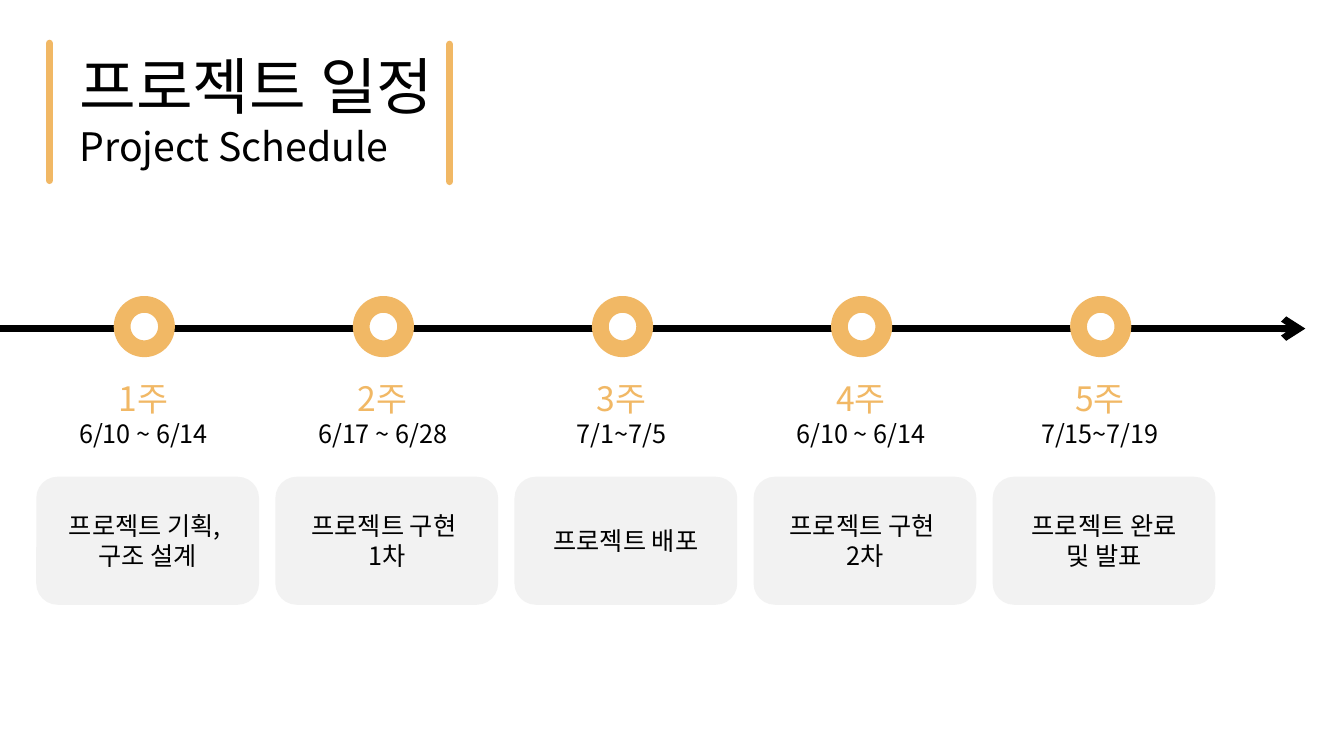
"""Build the five-week project schedule slide."""

from dataclasses import dataclass

from lxml.etree import SubElement
from pptx import Presentation
from pptx.dml.color import RGBColor
from pptx.enum.shapes import MSO_CONNECTOR as Connector
from pptx.enum.shapes import MSO_SHAPE as Preset
from pptx.enum.text import MSO_ANCHOR as Anchor
from pptx.enum.text import MSO_AUTO_SIZE as AutoSize
from pptx.enum.text import PP_ALIGN as Align
from pptx.oxml.ns import qn
from pptx.shapes.autoshape import Shape
from pptx.shapes.connector import Connector as Line
from pptx.slide import Slide
from pptx.text.text import TextFrame
from pptx.util import Inches, Pt

CELL = Inches(0.1)
COLUMNS, ROWS = 133.33, 75
COLUMN_STEP = 23.72
FONT = "Noto Sans CJK KR"
COLORS = {"accent": "F1B865", "ink": "000000", "card": "F2F2F2", "paper": "FFFFFF"}


@dataclass(frozen=True)
class Box:
    left: float
    top: float
    width: float
    height: float

    def shifted(self, columns: float) -> "Box":
        return Box(self.left + columns, self.top, self.width, self.height)

    def lengths(self) -> tuple[int, ...]:
        return tuple(map(grid, (self.left, self.top, self.width, self.height)))


@dataclass(frozen=True)
class Stroke:
    start: tuple[float, float]
    end: tuple[float, float]
    color: str
    points: float


@dataclass(frozen=True)
class TextStyle:
    size: float
    color: str = "ink"


@dataclass(frozen=True)
class Week:
    label: str
    dates: str
    task: str


TITLE = Box(6.9, 4.3, 80.8, 13.1)
MARKER = Box(12.12, 30.2, 4.4, 4.4)
CAPTION = Box(1.04, 37, 26.4, 8.1)
CARD = Box(3.6, 47.3, 22.1, 12.7)

TITLE_BARS = [
    Stroke((4.9, 4.3), (4.9, 17.9), "accent", 5.25),
    Stroke((44.6, 4.4), (44.6, 18), "accent", 5.25),
]
TIMELINE = Stroke((0, 32.6), (129.5, 32.6), "ink", 5)

WEEKS = [
    Week("1주", "6/10 ~ 6/14", "프로젝트 기획, \n구조 설계"),
    Week("2주", "6/17 ~ 6/28", "프로젝트 구현 \n1차"),
    Week("3주", "7/1~7/5", "프로젝트 배포"),
    Week("4주", "6/10 ~ 6/14", "프로젝트 구현 \n2차"),
    Week("5주", "7/15~7/19", "프로젝트 완료\n및 발표"),
]


def grid(cells: float) -> int:
    return round(cells * CELL)


def rgb(name: str) -> RGBColor:
    return RGBColor.from_string(COLORS[name])


def write(frame: TextFrame, text: str, styles: list[TextStyle], align: Align) -> None:
    frame.text = text
    frame.word_wrap = True
    for paragraph, style in zip(frame.paragraphs, styles):
        paragraph.alignment = align
        for run in paragraph.runs:
            run.font.size = Pt(style.size)
            run.font.color.rgb = rgb(style.color)
            run.font.name = FONT
            SubElement(run.font._element, qn("a:ea"), typeface=FONT)


def draw_title(slide: Slide) -> None:
    title = slide.shapes.title
    title.left, title.top, title.width, title.height = TITLE.lengths()
    styles = [TextStyle(44), TextStyle(28)]
    write(title.text_frame, "프로젝트 일정\nProject Schedule", styles, Align.LEFT)
    title.text_frame.vertical_anchor = Anchor.TOP
    title.text_frame.auto_size = AutoSize.SHAPE_TO_FIT_TEXT


def draw_stroke(slide: Slide, stroke: Stroke) -> Line:
    ends = map(grid, (*stroke.start, *stroke.end))
    line = slide.shapes.add_connector(Connector.STRAIGHT, *ends)
    line.line.color.rgb = rgb(stroke.color)
    line.line.width = Pt(stroke.points)
    SubElement(line._element.spPr, qn("a:effectLst"))
    return line


def draw_shape(slide: Slide, preset: Preset, box: Box, fill: str) -> Shape:
    shape = slide.shapes.add_shape(preset, *box.lengths())
    shape.shadow.inherit = False
    shape.fill.solid()
    shape.fill.fore_color.rgb = rgb(fill)
    shape.line.fill.background()
    return shape


def draw_week(slide: Slide, week: Week, shift: float) -> None:
    marker = draw_shape(slide, Preset.OVAL, MARKER.shifted(shift), "paper")
    marker.line.color.rgb = rgb("accent")
    marker.line.width = Pt(12)

    caption = slide.shapes.add_textbox(*CAPTION.shifted(shift).lengths()).text_frame
    styles = [TextStyle(24, "accent"), TextStyle(18)]
    write(caption, f"{week.label}\n{week.dates}", styles, Align.CENTER)
    caption.auto_size = AutoSize.SHAPE_TO_FIT_TEXT

    card = draw_shape(slide, Preset.ROUNDED_RECTANGLE, CARD.shifted(shift), "card")
    write(card.text_frame, week.task, [TextStyle(18)] * 2, Align.CENTER)
    card.text_frame.vertical_anchor = Anchor.MIDDLE


def main() -> None:
    presentation = Presentation()
    presentation.slide_width = grid(COLUMNS)
    presentation.slide_height = grid(ROWS)
    slide = presentation.slides.add_slide(presentation.slide_layouts[5])
    draw_title(slide)
    for bar in TITLE_BARS:
        draw_stroke(slide, bar).line._get_or_add_ln().set("cap", "rnd")
    arrow = draw_stroke(slide, TIMELINE)
    SubElement(arrow.line._get_or_add_ln(), qn("a:tailEnd"), type="arrow")
    for index, week in enumerate(WEEKS):
        draw_week(slide, week, index * COLUMN_STEP)
    presentation.save("out.pptx")


if __name__ == "__main__":
    main()
